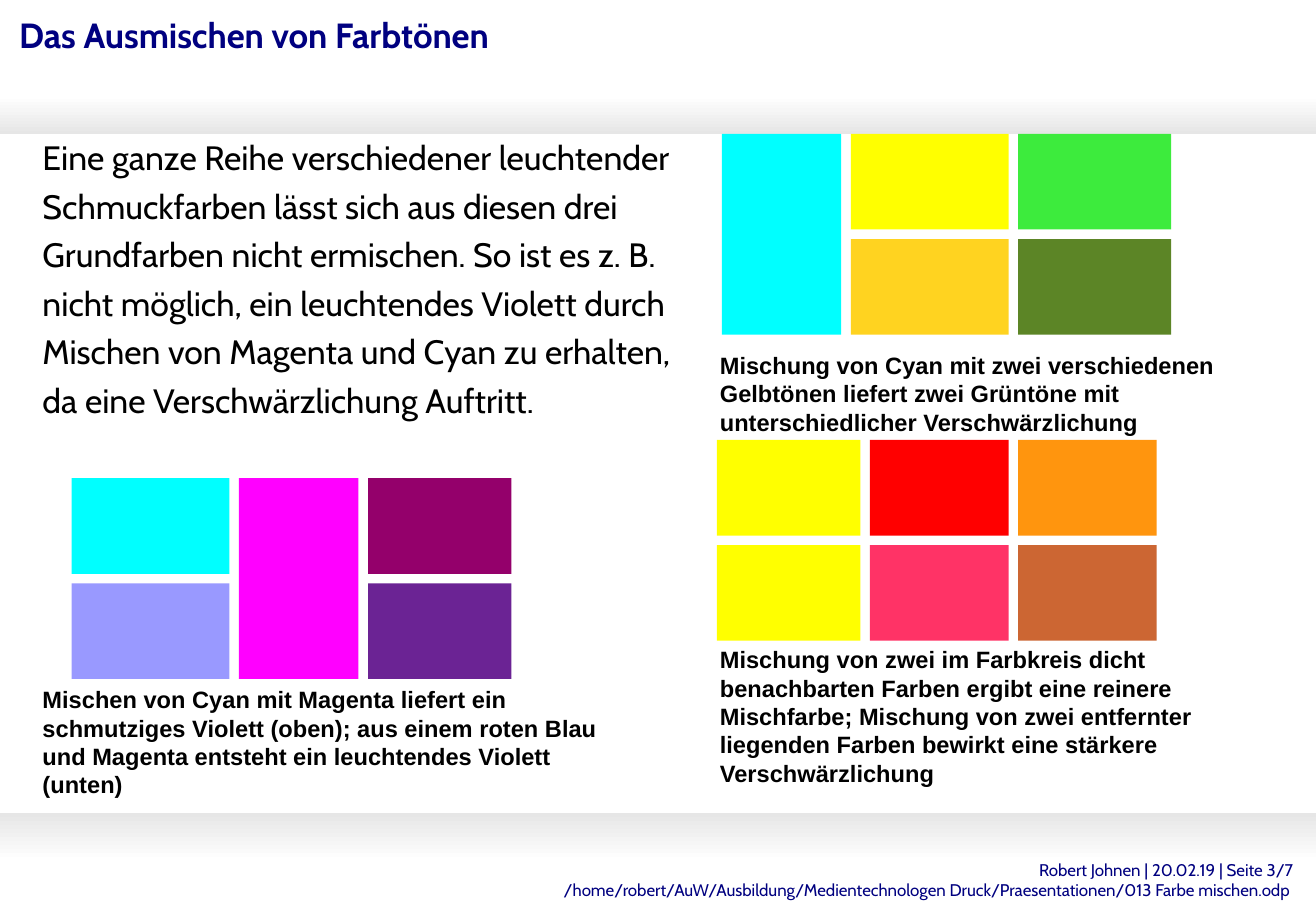
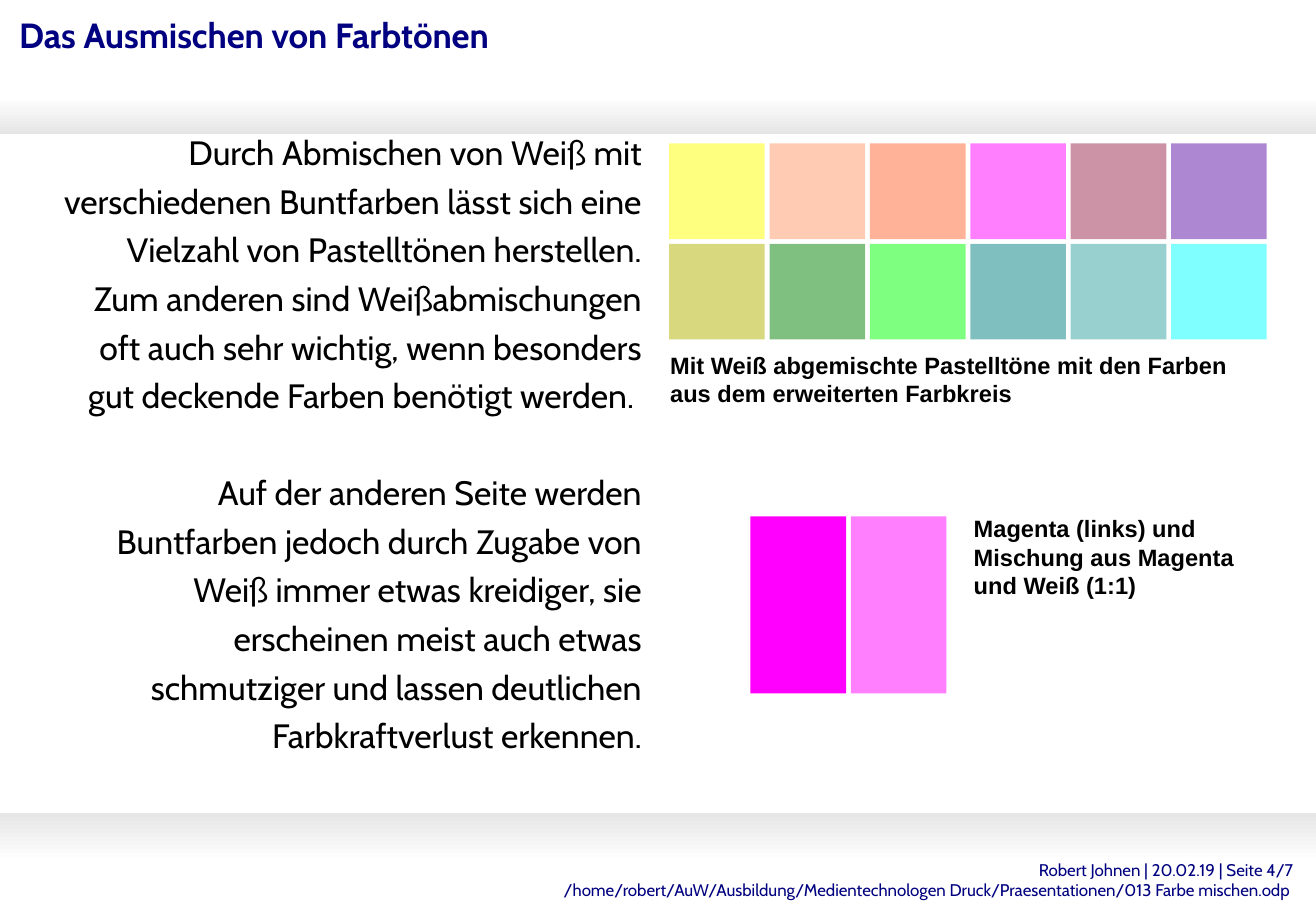
from lxml import etree
from pptx import Presentation, util as u
from pptx.dml.color import RGBColor
from pptx.enum import shapes, text
from pptx.oxml.ns import qn

COLUMNS, ROWS = 27.53, 19.05
NAVY, BLACK, GREY, WHITE = "000080", "000000", "E6E6E6", "FFFFFF"
TITLE = "Das Ausmischen von Farbtönen"
FILE_NAME = "/home/robert/AuW/Ausbildung/Medientechnologen Druck/Praesentationen/013 Farbe mischen.odp "
TITLE_STYLE = dict(size=20.7, font="Cabin", color=NAVY, bold=True, spacing=1.2)
BODY_STYLE = dict(size=20, font="Cabin", color=BLACK, spacing=1.2)
FOOTER_STYLE = dict(size=10, font="Cabin", color=NAVY, align=text.PP_ALIGN.RIGHT)
CAPTION_STYLE = dict(size=14, font="Arial", color=BLACK, bold=True)


def rgb(value):
    """Turn a hex string into a colour."""
    return RGBColor.from_string(value)


def place(box):
    """Convert left, top, width and height from grid cells of one centimetre."""
    return [u.Cm(length) for length in box]


def add_rectangle(slide, box):
    """Add a rectangle without outline or shadow."""
    shape = slide.shapes.add_shape(shapes.MSO_SHAPE.RECTANGLE, *place(box))
    shape.shadow.inherit = False
    shape.line.fill.background()
    return shape


def add_band(slide, box, colors):
    """Add a band that fades from the first colour at the top to the second."""
    fill = add_rectangle(slide, box).fill
    fill.gradient()
    fill.gradient_angle = 270
    for stop, color in zip(fill.gradient_stops, colors):
        stop.color.rgb = rgb(color)


def add_text(slide, box, paragraphs, size, font, color, bold=False,
             spacing=1.0, gap=0, align=text.PP_ALIGN.LEFT):
    """Add wrapped paragraphs in one style, with a gap between them."""
    frame = slide.shapes.add_textbox(*place(box)).text_frame
    frame.word_wrap = True
    frame.margin_left = frame.margin_right = frame.margin_top = frame.margin_bottom = 0
    for index, content in enumerate(paragraphs):
        paragraph = frame.add_paragraph() if index else frame.paragraphs[0]
        paragraph.text = content
        paragraph.alignment = align
        paragraph.line_spacing = spacing
        if index and gap:
            paragraph.space_before = u.Pt(gap)
        paragraph.font.size = u.Pt(size)
        paragraph.font.name = font
        paragraph.font.bold = bold
        paragraph.font.color.rgb = rgb(color)


def add_swatches(slide, left, top, height, columns, gap=0.2):
    """Add columns of a width and colours that share the height equally."""
    for width, colors in columns:
        cell = (height - gap * (len(colors) - 1)) / len(colors)
        for row, (color, opacity) in enumerate(colors):
            shape = add_rectangle(slide, (left, top + row * (cell + gap), width, cell))
            shape.fill.solid()
            shape.fill.fore_color.rgb = rgb(color)
            if opacity < 100:
                node = shape.fill._xPr.find(qn("a:solidFill"))[0]
                etree.SubElement(node, qn("a:alpha")).set("val", str(opacity * 1000))
        left += width + gap


def shades(*colors, opacity=100):
    """Pair each colour with its opacity in percent."""
    return [(color, opacity) for color in colors]


def add_page(presentation, number):
    """Add a slide with the shared bands, title and footer."""
    slide = presentation.slides.add_slide(presentation.slide_layouts[6])
    add_band(slide, (0, 2, COLUMNS, 0.8), (WHITE, GREY))
    add_band(slide, (0, 17, COLUMNS, 1), (GREY, WHITE))
    add_text(slide, (0.5, 17.98, 26.55, 1),
             [f"Robert Johnen | 20.02.19 | Seite {number}/7", FILE_NAME], **FOOTER_STYLE)
    add_text(slide, (0.4, 0.1, 26.7, 2.5), [TITLE], **TITLE_STYLE)
    return slide


def add_captions(slide, captions):
    """Add a bold caption in each box."""
    for box, content in captions:
        add_text(slide, box, [content], **CAPTION_STYLE)


def build_mixing(presentation):
    """Build the slide on mixing primary colours."""
    slide = add_page(presentation, 3)
    add_text(slide, (0.89, 2.69, 13.82, 7), [
        "Eine ganze Reihe verschiedener leuchtender Schmuckfarben lässt sich aus diesen "
        "drei Grundfarben nicht ermischen. So ist es z. B. nicht möglich, ein leuchtendes "
        "Violett durch Mischen von Magenta und Cyan zu erhalten, da eine "
        "Verschwärzlichung Auftritt."], **BODY_STYLE)
    add_captions(slide, [
        ((0.89, 14.33, 11.99, 2.24),
         "Mischen von Cyan mit Magenta liefert ein schmutziges Violett (oben); aus einem "
         "roten Blau und Magenta entsteht ein leuchtendes Violett (unten)"),
        ((15.06, 7.34, 11.56, 1.68),
         "Mischung von Cyan mit zwei verschiedenen Gelbtönen liefert zwei Grüntöne mit "
         "unterschiedlicher Verschwärzlichung"),
        ((15.06, 13.49, 11.35, 2.8),
         "Mischung von zwei im Farbkreis dicht benachbarten Farben ergibt eine reinere "
         "Mischfarbe; Mischung von zwei entfernter liegenden Farben bewirkt eine stärkere "
         "Verschwärzlichung")])
    add_swatches(slide, 15.1, 2.8, 4.2, [
        (2.5, shades("00FFFF")),
        (3.3, shades("FFFF00", "FFD320")),
        (3.2, shades("3DEB3D", "5C8526"))])
    add_swatches(slide, 1.5, 10, 4.2, [
        (3.3, shades("00FFFF", "9999FF")),
        (2.5, shades("FF00FF")),
        (3, shades("94006B", "6B2394"))])
    add_swatches(slide, 15, 9.2, 4.2, [
        (3, shades("FFFF00", "FFFF00")),
        (2.9, shades("FF0000", "FF3366")),
        (2.9, shades("FF950E", "CC6633"))])


def build_pastels(presentation):
    """Build the slide on mixing colours with white."""
    slide = add_page(presentation, 4)
    add_text(slide, (1.19, 2.59, 12.24, 13.5), [
        "Durch Abmischen von Weiß mit verschiedenen Buntfarben lässt sich eine Vielzahl "
        "von Pastelltönen herstellen. Zum anderen sind Weißabmischungen oft auch sehr "
        "wichtig, wenn besonders gut deckende Farben benötigt werden. ",
        "Auf der anderen Seite werden Buntfarben jedoch durch Zugabe von Weiß immer etwas "
        "kreidiger, sie erscheinen meist auch etwas schmutziger und lassen deutlichen "
        "Farbkraftverlust erkennen."],
        gap=28.8, align=text.PP_ALIGN.RIGHT, **BODY_STYLE)
    add_captions(slide, [
        ((14.02, 7.34, 12.62, 1.12),
         "Mit Weiß abgemischte Pastelltöne mit den Farben aus dem erweiterten Farbkreis"),
        ((20.37, 10.75, 6.27, 1.68),
         "Magenta (links) und Mischung aus Magenta und Weiß (1:1)")])
    upper = ["FFFF00", "FF9966", "FF6633", "FF00FF", "99284C", "5E11A6"]
    lower = ["B3B300", "008000", "00FF00", "008080", "33A3A3", "00FFFF"]
    add_swatches(slide, 14, 3, 4.1,
                 [(2, shades(*pair, opacity=50)) for pair in zip(upper, lower)], gap=0.1)
    add_swatches(slide, 15.7, 10.8, 3.7,
                 [(2, shades("FF00FF", opacity=opacity)) for opacity in (100, 50)], gap=0.1)


def main():
    """Build and save the presentation."""
    presentation = Presentation()
    presentation.slide_width, presentation.slide_height = u.Cm(COLUMNS), u.Cm(ROWS)
    build_mixing(presentation)
    build_pastels(presentation)
    presentation.save("out.pptx")


if __name__ == "__main__":
    main()
